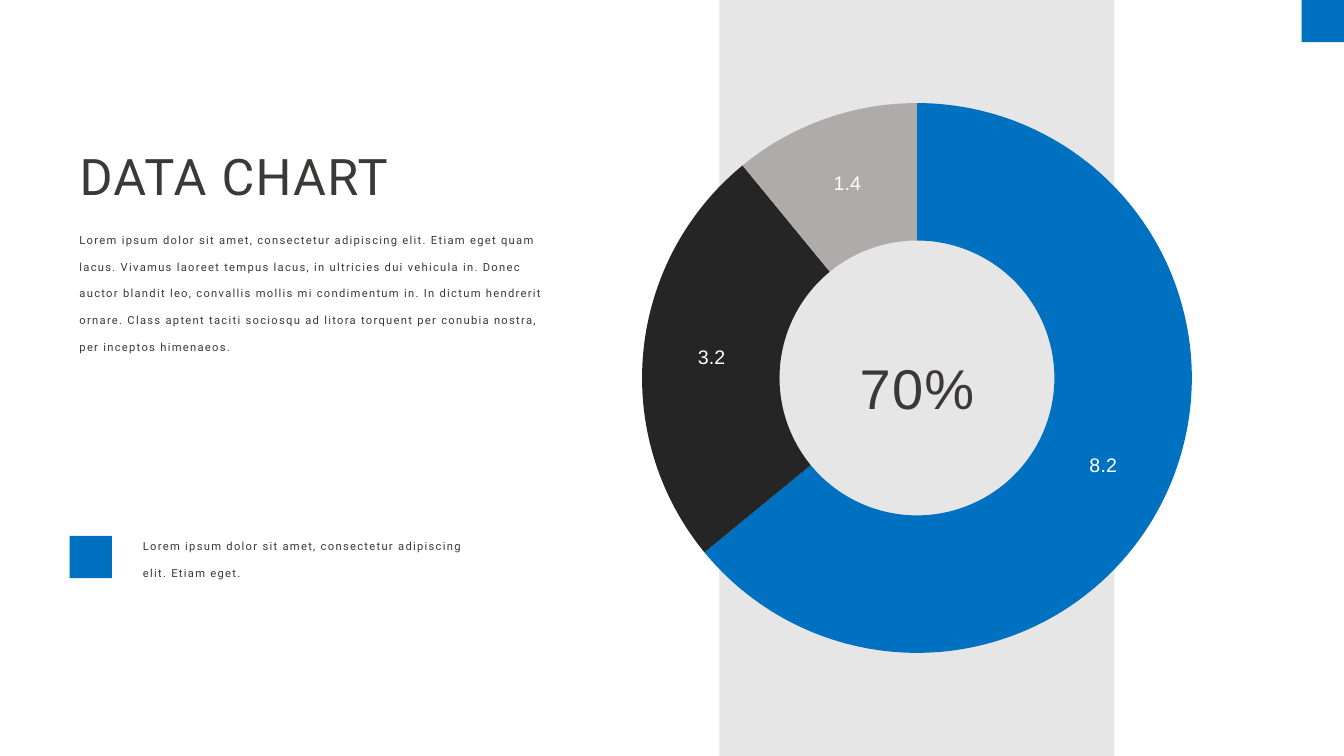
from pptx import Presentation
from pptx import util as u
from pptx.chart import data as chart_data
from pptx.dml import color
from pptx.enum import chart as chart_enum
from pptx.enum import shapes, text

COLORS = {
    "blue": "0070C0",
    "black": "252525",
    "grey": "AFABAB",
    "band": "E7E6E6",
    "text": "3B3838",
    "white": "FFFFFF",
}
SLIDE_WIDTH, SLIDE_HEIGHT = 960, 540
LEFT = 49.7
SQUARE = 30.2
BAND_WIDTH = 282.2
CHART_WIDTH, CHART_HEIGHT = 478.8, 412.6
CENTER_X = 655
LETTER_SPACING = "90"

TITLE = "DATA CHART"
INTRO = (
    "Lorem ipsum dolor sit amet, consectetur adipiscing elit. Etiam eget quam lacus. "
    "Vivamus laoreet tempus lacus, in ultricies dui vehicula in. Donec auctor blandit leo, "
    "convallis mollis mi condimentum in. In dictum hendrerit ornare. Class aptent taciti "
    "sociosqu ad litora torquent per conubia nostra, per inceptos himenaeos."
)
LEGEND = "Lorem ipsum dolor sit amet, consectetur adipiscing elit. Etiam eget."
SHARE = "70%"
SLICES = [("1", 8.2, "blue"), ("2", 3.2, "black"), ("3", 1.4, "grey")]


def points(*lengths):
    return [u.Pt(length) for length in lengths]


def rgb(name):
    return color.RGBColor.from_string(COLORS[name])


def add_rectangle(slide, box, fill):
    shape = slide.shapes.add_shape(shapes.MSO_SHAPE.RECTANGLE, *points(*box))
    shape.shadow.inherit = False
    shape.fill.solid()
    shape.fill.fore_color.rgb = rgb(fill)
    shape.line.fill.background()


def write(shape, content, size, font, line_spacing, align=text.PP_ALIGN.LEFT, wrap=True):
    frame = shape.text_frame
    frame.text = content
    frame.word_wrap = wrap
    frame.auto_size = text.MSO_AUTO_SIZE.SHAPE_TO_FIT_TEXT
    frame.vertical_anchor = text.MSO_ANCHOR.TOP
    paragraph = frame.paragraphs[0]
    paragraph.alignment = align
    paragraph.line_spacing = line_spacing
    run = paragraph.runs[0]
    run.font.size = u.Pt(size)
    run.font.name = font
    run.font.color.rgb = rgb("text")
    run.font._element.set("spc", LETTER_SPACING)


def add_text(slide, box, *style, **options):
    write(slide.shapes.add_textbox(*points(*box)), *style, **options)


def add_doughnut(slide):
    values = chart_data.CategoryChartData()
    values.categories = [name for name, value, fill in SLICES]
    values.add_series("Series 1", [value for name, value, fill in SLICES])
    box = (CENTER_X - CHART_WIDTH / 2, (SLIDE_HEIGHT - CHART_HEIGHT) / 2,
           CHART_WIDTH, CHART_HEIGHT)
    chart = slide.shapes.add_chart(
        chart_enum.XL_CHART_TYPE.DOUGHNUT, *points(*box), values).chart
    chart.has_title = False
    chart.has_legend = False
    chart.font.size = u.Pt(10)
    chart.font.name = "Calibri"
    plot = chart.plots[0]
    plot.vary_by_categories = True
    plot._element.find("{*}holeSize").set("val", "80")
    for index, (name, value, fill) in enumerate(SLICES):
        point = plot.series[0].points[index]
        point.format.fill.solid()
        point.format.fill.fore_color.rgb = rgb(fill)
        point.format.line.fill.background()
    labels = plot.series[0].data_labels
    labels.show_value = True
    labels.show_percentage = False
    labels.font.size = u.Pt(14)
    labels.font.name = "Arial"
    labels.font.color.rgb = rgb("white")


def main():
    presentation = Presentation()
    presentation.slide_width, presentation.slide_height = points(SLIDE_WIDTH, SLIDE_HEIGHT)
    slide = presentation.slides.add_slide(presentation.slide_layouts[5])

    title = slide.shapes.title
    title.left, title.top, title.width, title.height = points(LEFT, 78.5, 326.9, 67)
    write(title, TITLE, 36, "Roboto", 1.5)

    add_rectangle(slide, (CENTER_X - BAND_WIDTH / 2, 0, BAND_WIDTH, SLIDE_HEIGHT), "band")
    add_doughnut(slide)
    add_text(slide, (CENTER_X - 50.4, 249.1, 100.8, 55.4), SHARE, 40, "Arial", 1,
             align=text.PP_ALIGN.CENTER, wrap=False)
    add_text(slide, (LEFT, 153.4, 347.8, 101.5), INTRO, 8, "Roboto", 2)
    add_rectangle(slide, (LEFT, 382.7, SQUARE, SQUARE), "blue")
    add_text(slide, (95, 372.2, 250.6, 43.9), LEGEND, 8, "Roboto", 2)
    add_rectangle(slide, (SLIDE_WIDTH - SQUARE, 0, SQUARE, SQUARE), "blue")

    presentation.save("out.pptx")


if __name__ == "__main__":
    main()
